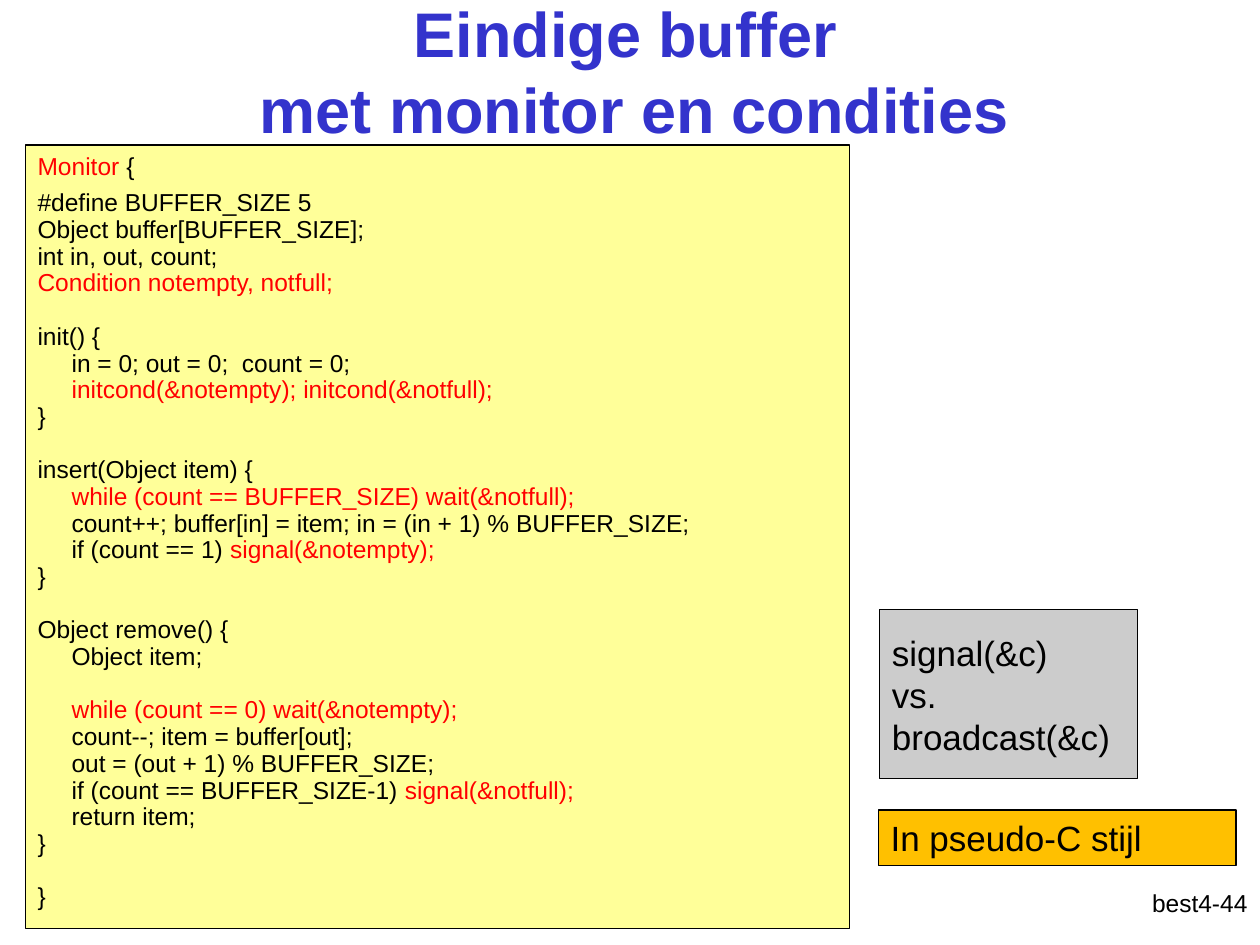
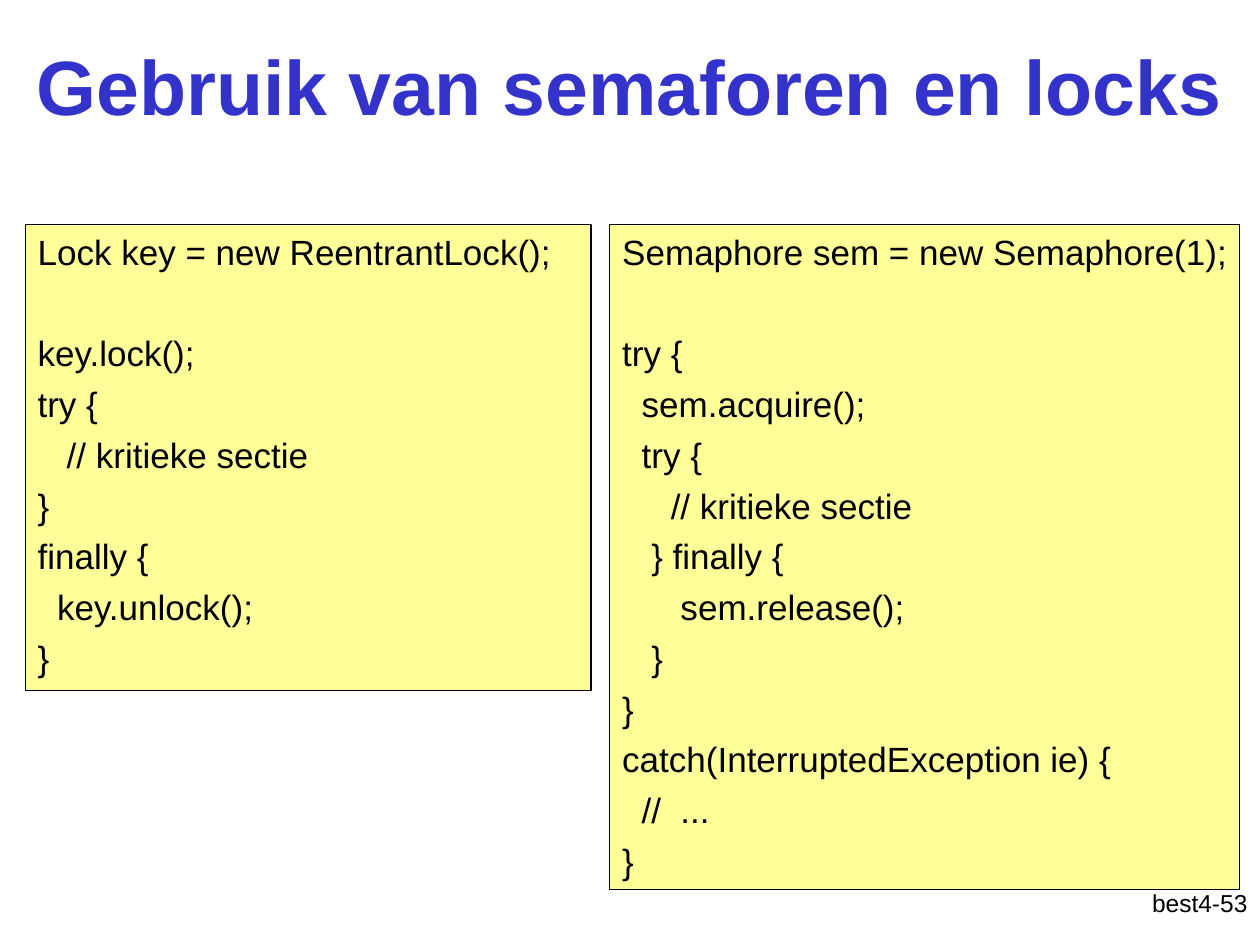
from dataclasses import dataclass
from typing import NamedTuple

from pptx import Presentation
from pptx.dml.color import RGBColor
from pptx.enum.shapes import MSO_SHAPE
from pptx.enum.text import MSO_ANCHOR, MSO_AUTO_SIZE, PP_ALIGN
from pptx.util import Inches, Pt

RECTANGLE = MSO_SHAPE.RECTANGLE
TOP, MIDDLE = MSO_ANCHOR.TOP, MSO_ANCHOR.MIDDLE
LEFT, CENTER, RIGHT = PP_ALIGN.LEFT, PP_ALIGN.CENTER, PP_ALIGN.RIGHT
NO_AUTOFIT = MSO_AUTO_SIZE.NONE
TITLE_ONLY = 5


@dataclass(frozen=True)
class Theme:
    font: str = "Arial"
    title: RGBColor = RGBColor(0x33, 0x33, 0xCC)
    ink: RGBColor = RGBColor(0, 0, 0)
    marked: RGBColor = RGBColor(0xFF, 0, 0)
    code_fill: RGBColor = RGBColor(0xFF, 0xFF, 0x99)
    remark_fill: RGBColor = RGBColor(0xFF, 0xC0, 0)
    compare_fill: RGBColor = RGBColor(0xCC, 0xCC, 0xCC)
    border: float = 0.75
    small: int = 14
    normal: int = 20
    title_small: int = 36
    title_large: int = 44
    line_height: float = 1.2


THEME = Theme()


class Area(NamedTuple):
    left: float
    top: float
    width: float
    height: float

    def lengths(self) -> list:
        return [Inches(value) for value in self]


class Span(NamedTuple):
    text: str
    marked: bool = False


@dataclass(frozen=True)
class Panel:
    area: Area
    lines: list[tuple[Span, ...]]
    fill: RGBColor = THEME.code_fill
    size: int = THEME.normal
    gap: float = 0
    tightness: float = 1
    loose_lines: int = 0
    anchor: MSO_ANCHOR = TOP
    right_inset: float = 0.05


@dataclass(frozen=True)
class Page:
    title: list[str]
    title_area: Area
    title_size: int
    number: str
    panels: list[Panel]


def plain_lines(code: str) -> list[tuple[Span, ...]]:
    return [(Span(line),) if line else () for line in code.strip("\n").split("\n")]


MONITOR_LINES = [
    (Span("Monitor", True), Span(" {")),
    *plain_lines("""
#define BUFFER_SIZE 5
Object buffer[BUFFER_SIZE];
int in, out, count;"""),
    (Span("Condition notempty, notfull;", True),),
    (),
    *plain_lines("""
init() {
     in = 0; out = 0;  count = 0;"""),
    (Span("     initcond(&notempty); initcond(&notfull);", True),),
    *plain_lines("""
}

insert(Object item) {"""),
    (Span("     while (count == BUFFER_SIZE) wait(&notfull);", True),),
    (Span("     count++; buffer[in] = item; in = (in + 1) % BUFFER_SIZE;"),),
    (Span("     if (count == 1) "), Span("signal(&notempty);", True)),
    *plain_lines("""
}

Object remove() {
     Object item;"""),
    (),
    (Span("     while (count == 0) wait(&notempty);", True),),
    *plain_lines("""
     count--; item = buffer[out];
     out = (out + 1) % BUFFER_SIZE;"""),
    (Span("     if (count == BUFFER_SIZE-1) "), Span("signal(&notfull);", True)),
    *plain_lines("""
     return item;
}

}"""),
]

LOCK_CODE = """
Lock key = new ReentrantLock();

key.lock();
try {
   // kritieke sectie
}
finally {
  key.unlock();
}
"""

SEMAPHORE_CODE = """
Semaphore sem = new Semaphore(1);

try {
  sem.acquire();
  try {
     // kritieke sectie
   } finally {
      sem.release();
   }
}
catch(InterruptedException ie) {
  //  ...
}
"""

PAGES = [
    Page(
        ["Eindige buffer ", "met monitor en condities"],
        Area(0.27, 0.05, 9.53, 1.02), THEME.title_small, "best4-44",
        [
            Panel(Area(0.2, 1.15, 6.54, 6.22), MONITOR_LINES, size=THEME.small,
                  gap=3.5, tightness=0.7, loose_lines=2),
            Panel(Area(6.97, 6.43, 2.84, 0.44), plain_lines("In pseudo-C stijl"),
                  THEME.remark_fill),
            Panel(Area(6.98, 4.84, 2.05, 1.34),
                  plain_lines("signal(&c)\nvs.\nbroadcast(&c)"),
                  THEME.compare_fill, anchor=MIDDLE),
        ],
    ),
    Page(
        ["Gebruik van semaforen en locks"],
        Area(0, 0.05, 10, 1.25), THEME.title_large, "best4-53",
        [
            Panel(Area(0.2, 1.78, 4.49, 3.7), plain_lines(LOCK_CODE), gap=5),
            Panel(Area(4.84, 1.78, 5, 5.28), plain_lines(SEMAPHORE_CODE), gap=5),
        ],
    ),
]


def add_span(para, text: str, size: int, color: RGBColor, bold: bool = False) -> None:
    run = para.add_run()
    run.text = text
    run.font.name = THEME.font
    run.font.size = Pt(size)
    run.font.bold = bold
    run.font.color.rgb = color


def set_title(slide, page: Page) -> None:
    title = slide.shapes.title
    title.left, title.top, title.width, title.height = page.title_area.lengths()
    frame = title.text_frame
    frame.auto_size = NO_AUTOFIT
    frame.word_wrap = True
    frame.vertical_anchor = MIDDLE
    para = frame.paragraphs[0]
    para.alignment = CENTER
    for index, line in enumerate(page.title):
        if index:
            para.add_line_break()
        add_span(para, line, page.title_size, THEME.title, bold=True)


def fill_panel_text(frame, panel: Panel) -> None:
    """Write the lines; an empty line becomes extra space before the next one."""
    blank_height = panel.size * THEME.line_height * panel.tightness + panel.gap
    space = 0
    for index, line in enumerate(panel.lines):
        if not line:
            space += blank_height
            continue
        para = frame.add_paragraph() if index else frame.paragraphs[0]
        para.alignment = LEFT
        para.space_before = Pt(space)
        para.line_spacing = 1.0 if index < panel.loose_lines else panel.tightness
        for span in line:
            color = THEME.marked if span.marked else THEME.ink
            add_span(para, span.text, panel.size, color)
        space = panel.gap


def add_panel(slide, panel: Panel) -> None:
    box = slide.shapes.add_shape(RECTANGLE, *panel.area.lengths())
    box.shadow.inherit = False
    box.fill.solid()
    box.fill.fore_color.rgb = panel.fill
    box.line.color.rgb = THEME.ink
    box.line.width = Pt(THEME.border)
    frame = box.text_frame
    frame.word_wrap = True
    frame.vertical_anchor = panel.anchor
    frame.margin_right = Inches(panel.right_inset)
    fill_panel_text(frame, panel)


def add_page_number(slide, number: str) -> None:
    box = slide.shapes.add_textbox(*Area(7.92, 7, 2.08, 0.5).lengths())
    box.text_frame.word_wrap = True
    para = box.text_frame.paragraphs[0]
    para.alignment = RIGHT
    add_span(para, number, THEME.small, THEME.ink)


def main() -> None:
    deck = Presentation()
    deck.slide_width, deck.slide_height = Inches(10), Inches(7.5)
    for page in PAGES:
        slide = deck.slides.add_slide(deck.slide_layouts[TITLE_ONLY])
        set_title(slide, page)
        add_page_number(slide, page.number)
        for panel in page.panels:
            add_panel(slide, panel)
    deck.save("out.pptx")


if __name__ == "__main__":
    main()
